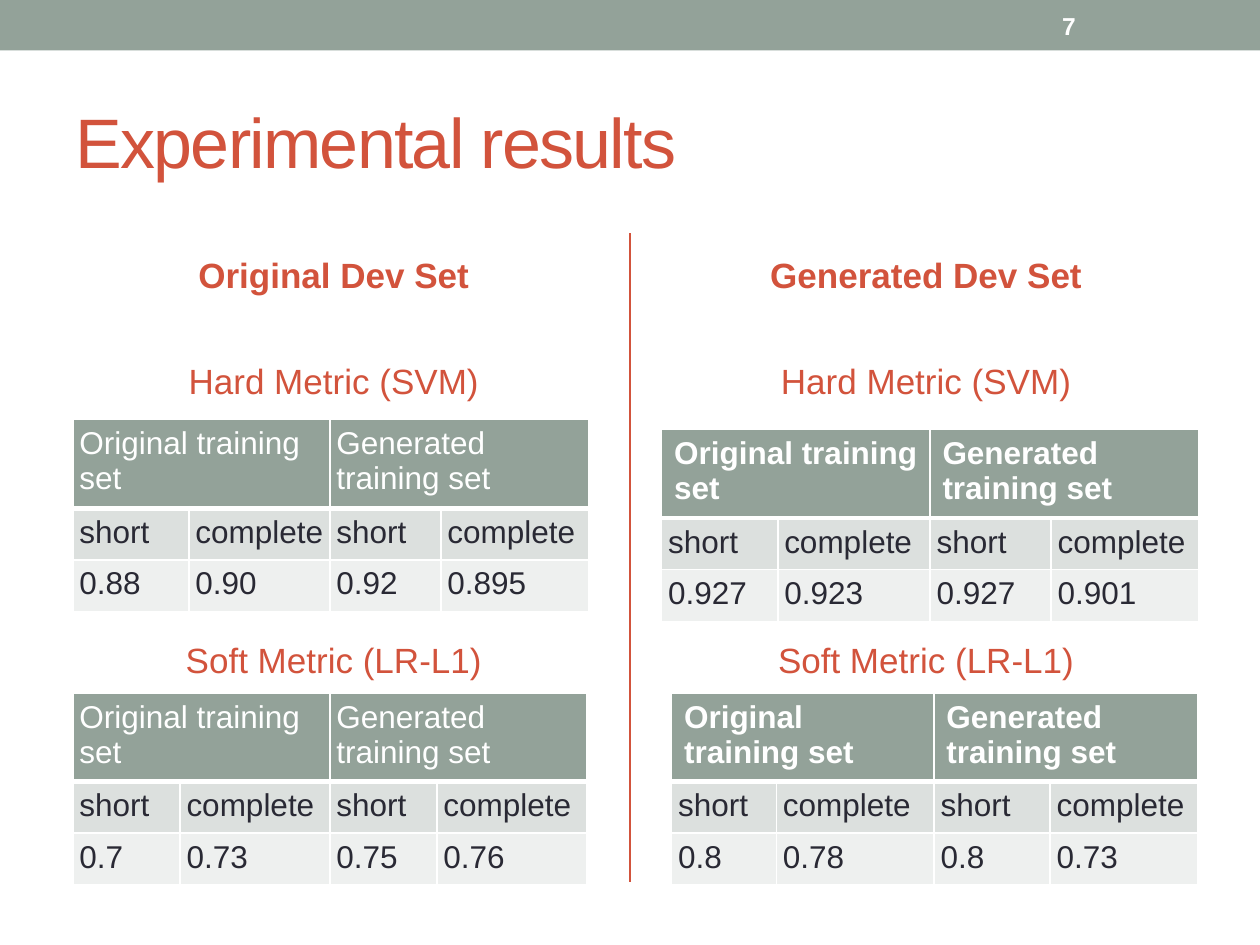
import pptx
import pptx.util
import pptx.dml.color
import pptx.enum.shapes
import pptx.enum.text
import pptx.oxml
import pptx.oxml.ns

Cm = pptx.util.Cm
Pt = pptx.util.Pt
SAGE, RUST, WHITE, INK = "93A299", "D2533C", "FFFFFF", "292934"
BAND_DARK, BAND_LIGHT = "DCE0DE", "EEF0EF"
ROW_H = 1.04


def paint(target, color):
    """Give a fill or a line format a solid colour."""
    target.solid()
    target.fore_color.rgb = pptx.dml.color.RGBColor.from_string(color)


def write(tf, text, size=20, color=RUST, bold=False, align="LEFT",
          before=0, spacing=None):
    tf.word_wrap = True
    p = tf.paragraphs[0]
    p.alignment = getattr(pptx.enum.text.PP_ALIGN, align)
    p.space_before = Pt(before)
    r = p.add_run()
    r.text = text
    r.font.name = "Arial"
    r.font.size = Pt(size)
    r.font.bold = bold
    paint(r.font.fill, color)
    if spacing is not None:
        r.font._element.set("spc", str(round(spacing * 100)))


def add_text(slide, text, x, y, w, h, **fmt):
    tf = slide.shapes.add_textbox(Cm(x), Cm(y), Cm(w), Cm(h)).text_frame
    tf.vertical_anchor = pptx.enum.text.MSO_ANCHOR.MIDDLE
    write(tf, text, **fmt)


def set_borders(cell, **widths):
    """White borders; widths in points by side L, R, T, B."""
    tcPr = cell._tc.get_or_add_tcPr()
    for side in "LRTB":
        tcPr.append(pptx.oxml.parse_xml(
            f'<a:ln{side} {pptx.oxml.ns.nsdecls("a")} w="{Pt(widths.get(side, 1))}">'
            f'<a:solidFill><a:srgbClr val="{WHITE}"/></a:solidFill></a:ln{side}>'))


def add_results(slide, x, y, widths, scores, bold_head):
    """Table of scores: two training sets, each short and complete."""
    rows = [["Original training set", "", "Generated training set", ""],
            ["short", "complete"] * 2, scores]
    fills = [SAGE, BAND_DARK, BAND_LIGHT]
    table = slide.shapes.add_table(3, 4, Cm(x), Cm(y), Cm(sum(widths)),
                                   Cm(3 * ROW_H)).table
    for col, w in zip(table.columns, widths):
        col.width = Cm(w)
    for i, (row, fill) in enumerate(zip(rows, fills)):
        table.rows[i].height = Cm(ROW_H)
        head = i == 0
        for j, text in enumerate(row):
            cell = table.cell(i, j)
            set_borders(cell, T=3 if i == 1 else 1, B=3 if head else 1)
            paint(cell.fill, fill)
            side = 0.25 if head and bold_head else 0.13
            cell.margin_left = cell.margin_right = Cm(side)
            cell.margin_top = cell.margin_bottom = Cm(0.13)
            if text:
                write(cell.text_frame, text, size=18, bold=head and bold_head,
                      color=WHITE if head else INK)
    for j in (0, 2):
        table.cell(0, j).merge(table.cell(0, j + 1))


def add_header(slide, w, h, number):
    bar = slide.shapes.add_shape(pptx.enum.shapes.MSO_SHAPE.RECTANGLE,
                                 0, 0, Cm(w), Cm(h))
    bar.shadow.inherit = False
    paint(bar.fill, SAGE)
    bar.line.fill.background()
    add_text(slide, number, w - 4.24, 0.05, 2.97, h - 0.1,
             size=14, color=WHITE, bold=True)


def add_title(slide, text, x, y, w, h):
    sp = slide.shapes.title
    sp.left, sp.top, sp.width, sp.height = Cm(x), Cm(y), Cm(w), Cm(h)
    sp.text_frame.vertical_anchor = pptx.enum.text.MSO_ANCHOR.MIDDLE
    write(sp.text_frame, text, size=40, spacing=-1)


def add_divider(slide, x, top, bottom):
    line = slide.shapes.add_connector(pptx.enum.shapes.MSO_CONNECTOR.STRAIGHT,
                                      Cm(x), Cm(top), Cm(x), Cm(bottom))
    line.line.width = Pt(1.5)
    paint(line.line.fill, RUST)
    line._element.spPr.append(pptx.oxml.parse_xml(
        f'<a:effectLst {pptx.oxml.ns.nsdecls("a")}/>'))


def add_dev_set(slide, x, y, w, heading, tables, bold_head):
    """One column: a heading, then two captioned tables."""
    captions = [(heading, 0), ("Hard Metric (SVM)", 2.13),
                ("Soft Metric (LR-L1)", 7.75)]
    for text, dy in captions:
        add_text(slide, text, x, y + dy, w, 1.78, bold=dy == 0,
                 align="CENTER", before=4)
    for dx, dy, widths, scores in tables:
        add_results(slide, x + dx, y + dy, widths, scores, bold_head)


prs = pptx.Presentation()
prs.slide_width, prs.slide_height = Cm(25.4), Cm(19.05)
slide = prs.slides.add_slide(prs.slide_layouts[5])

add_header(slide, 25.4, 1.02, "7")
add_title(slide, "Experimental results", 1.27, 1.47, 22.86, 2.74)
add_divider(slide, 12.7, 4.7, 17.78)

# Columns: table offsets, column widths and scores
add_dev_set(slide, 1.27, 4.65, 10.92, "Original Dev Set", [
    (0.2, 3.81, [2.34, 2.84, 2.24, 2.97], ["0.88", "0.90", "0.92", "0.895"]),
    (0.2, 9.32, [2.16, 3.02, 2.16, 3.02], ["0.7", "0.73", "0.75", "0.76"]),
], bold_head=False)
add_dev_set(slide, 13.21, 4.65, 10.92, "Generated Dev Set", [
    (0.13, 4.01, [2.34, 3.07, 2.44, 2.97], ["0.927", "0.923", "0.927", "0.901"]),
    (0.33, 9.32, [2.11, 3.18, 2.34, 2.97], ["0.8", "0.78", "0.8", "0.73"]),
], bold_head=True)

prs.save("out.pptx")
